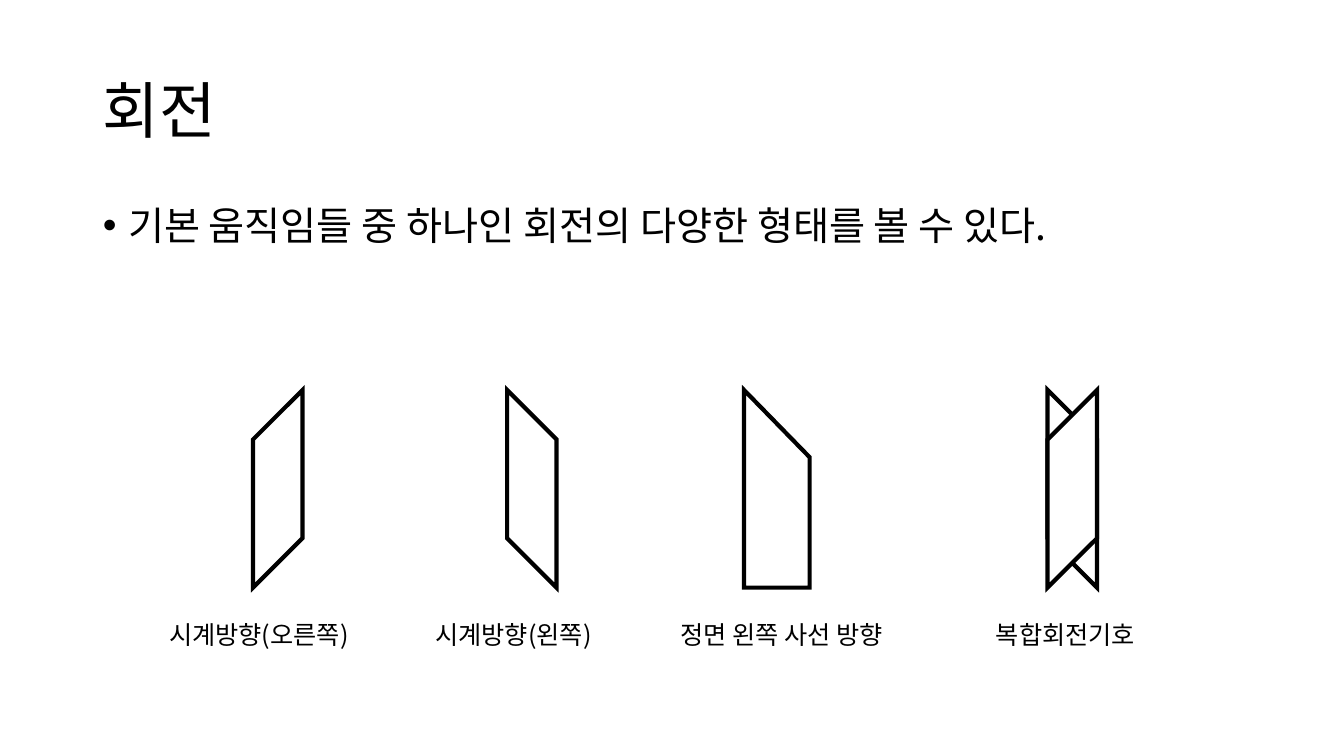
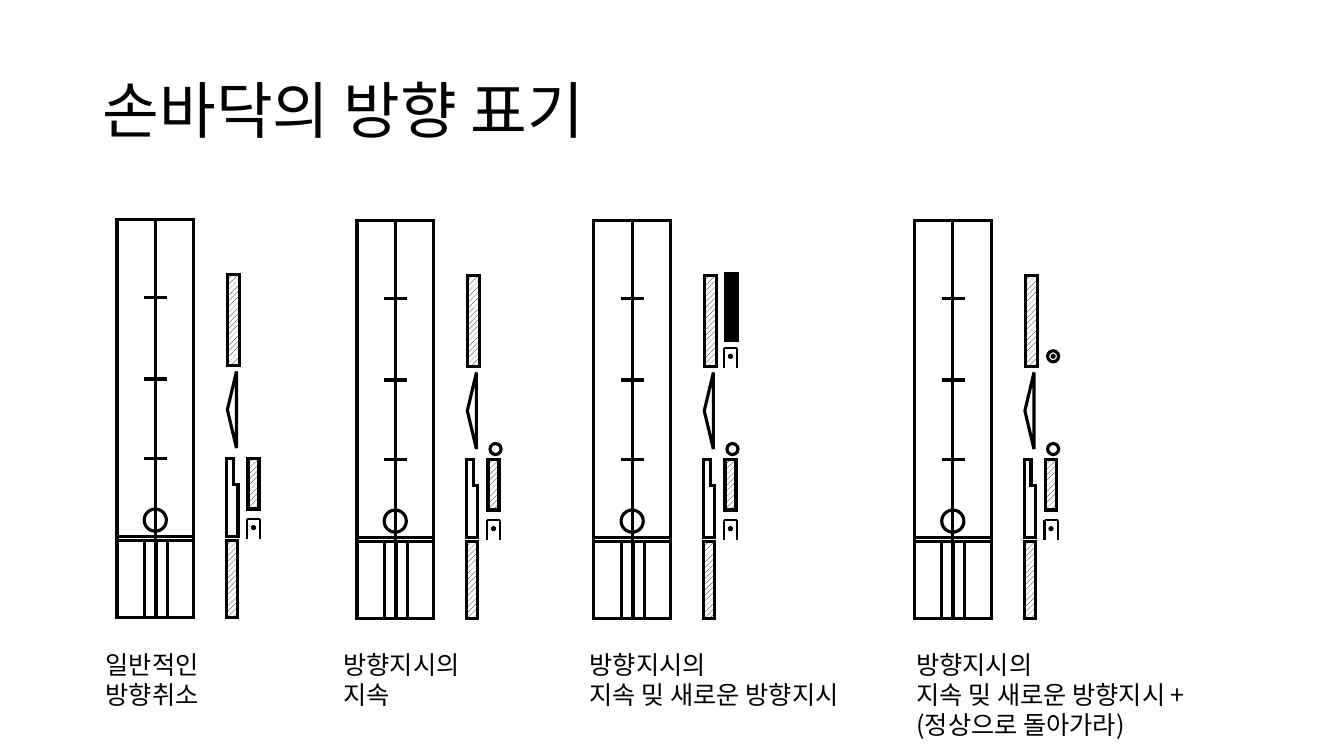
from pptx import Presentation
from pptx.dml.color import RGBColor
from pptx.enum.dml import MSO_PATTERN
from pptx.enum.shapes import MSO_CONNECTOR, MSO_SHAPE as SHAPE
from pptx.enum.text import MSO_ANCHOR, MSO_AUTO_SIZE, PP_ALIGN
from pptx.oxml.ns import qn
from pptx.util import Inches, Pt
from lxml.etree import SubElement

COLORS = {"ink": "000000", "paper": "FFFFFF"}
FONT = "Noto Sans CJK KR"
TITLE_BOX, BODY_BOX = (0.92, 0.4, 11.5, 1.45), (0.92, 2, 11.5, 4.76)
THIN, MEDIUM, THICK = 1.5, 2.25, 3

# Outlines as shares of the symbol's width and height
RISING = [(1, 0), (0, 0.25), (0, 1), (1, 0.75)]
FALLING = [(1 - x, y) for x, y in RISING]
FRONT_LEFT = [(0, 0), (1, 0.34), (1, 1), (0, 1)]
NOTCHED = [(0.6, 0), (0, 0), (0, 1), (1, 1), (1, 0.33), (0.6, 0.33)]

TURN_TOP, TURN_HEIGHT, TURN_CAPTION_TOP = 3.87, 1.96, 6.09
TURNS = [  # left, width, outlines, caption, caption left, caption width
    (2.51, 0.49, [RISING], "시계방향(오른쪽)", 1.58, 2.12),
    (5.03, 0.49, [FALLING], "시계방향(왼쪽)", 4.22, 1.87),
    (7.38, 0.65, [FRONT_LEFT], "정면 왼쪽 사선 방향", 6.65, 2.49),
    (10.39, 0.49, [FALLING, RISING], "복합회전기호", 9.78, 1.72),
]

PALM_CAPTION_TOP = 6.39
PALMS = [  # staff left, staff top, extra signs, caption lines, caption left, caption width
    (1.16, 2.18, [], ["일반적인", "방향취소"], 0.95, 1.21),
    (3.54, 2.19, ["hold"], ["방향지시의", "지속"], 3.31, 1.46),
    (5.89, 2.19, ["hold", "new"], ["방향지시의", "지속 밎 새로운 방향지시"], 5.75, 2.99),
    (9.07, 2.19, ["hold", "normal"],
     ["방향지시의", "지속 밎 새로운 방향지시 +", "(정상으로 돌아가라)"], 8.99, 3.35),
]

# Staff parts, measured from the staff's top left corner
LANE, STAFF_HEIGHT, FOOT_HEIGHT = 0.38, 3.14, 0.81
BAR_TOP, BAR_HEIGHT, BAR = 3.18, 0.77, 0.11
TICKS = (0.77, 1.58, 2.37)
HOOK_LEFT, HOOK_WIDTH, HOOK_HEIGHT = 1.29, 0.13, 0.2
RECTS = [
    ("paper", (0, STAFF_HEIGHT, LANE, FOOT_HEIGHT)),
    ("paper", (LANE, STAFF_HEIGHT, LANE, FOOT_HEIGHT)),
    ("paper", (0, 0, LANE, STAFF_HEIGHT)),
    ("paper", (LANE, 0, LANE, STAFF_HEIGHT)),
    ("paper", (0.27, BAR_TOP, BAR, BAR_HEIGHT)),
    ("paper", (0.39, BAR_TOP, BAR, BAR_HEIGHT)),
    ("hatch", (1.09, BAR_TOP, BAR, BAR_HEIGHT)),
    ("hatch", (1.1, 0.54, 0.12, 0.91)),
    ("hatch", (1.3, 2.37, BAR, 0.5)),
]


def rgb(name):
    return RGBColor.from_string(COLORS[name])


def set_line(line, width):
    line.color.rgb = rgb("ink")
    line.width = Pt(width)
    SubElement(line._get_or_add_ln(), qn("a:miter"), lim="800000")


def set_look(sp, fill, width):
    """Fill is a colour name, "hatch" or None; a width of 0 means no line."""
    sp.shadow.inherit = False
    if fill == "hatch":
        sp.fill.patterned()
        sp.fill.pattern = MSO_PATTERN.WIDE_UPWARD_DIAGONAL
        sp.fill.fore_color.rgb = rgb("ink")
        sp.fill.back_color.rgb = rgb("paper")
    elif fill:
        sp.fill.solid()
        sp.fill.fore_color.rgb = rgb(fill)
    else:
        sp.fill.background()
    if width:
        set_line(sp.line, width)
    else:
        sp.line.fill.background()


def write(tf, lines, size, **paragraph_format):
    for i, text in enumerate(lines):
        p = tf.paragraphs[0] if i == 0 else tf.add_paragraph()
        for name, value in paragraph_format.items():
            setattr(p, name, value)
        r = p.add_run()
        r.text = text
        r.font.size = Pt(size)
        r.font.color.rgb = rgb("ink")
        r.font.name = FONT
        SubElement(r._r.get_or_add_rPr(), qn("a:ea"), typeface=FONT)


def fill_placeholder(sp, box, text, size, anchor):
    sp.left, sp.top, sp.width, sp.height = map(Inches, box)
    sp.text_frame.auto_size = MSO_AUTO_SIZE.NONE
    sp.text_frame.vertical_anchor = anchor
    write(sp.text_frame, [text], size, alignment=PP_ALIGN.LEFT,
          line_spacing=0.9, space_before=Pt(0))


def add_slide(prs, layout, title):
    s = prs.slides.add_slide(prs.slide_layouts[layout])
    fill_placeholder(s.shapes.title, TITLE_BOX, title, 44, MSO_ANCHOR.MIDDLE)
    return s


def add_caption(s, lines, left, top, width):
    box = (left, top, width, 0.1 + 0.3 * len(lines))
    tf = s.shapes.add_textbox(*map(Inches, box)).text_frame
    tf.word_wrap = True
    write(tf, lines, 18)


def add_outline(shapes, points, box, width):
    left, top, w, h = box
    corners = [(Inches(left + x * w), Inches(top + y * h)) for x, y in points]
    builder = shapes.build_freeform(*corners[0], scale=1.0)
    builder.add_line_segments(corners[1:], close=True)
    set_look(builder.convert_to_shape(), "paper", width)


class Panel:
    """A group whose parts are placed from the corner (left, top)."""

    def __init__(self, s, left, top):
        self.shapes = s.shapes.add_group_shape().shapes
        self.left, self.top = left, top

    def place(self, box):
        x, y, w, h = box
        return self.left + x, self.top + y, w, h

    def shape(self, kind, box, fill=None, width=MEDIUM):
        sp = self.shapes.add_shape(kind, *map(Inches, self.place(box)))
        set_look(sp, fill, width)
        return sp

    def ring(self, x, y, size, fill=None, width=MEDIUM):
        self.shape(SHAPE.OVAL, (x, y, size, size), fill, width)

    def line(self, x1, y1, x2, y2, width=MEDIUM):
        ends = (self.left + x1, self.top + y1, self.left + x2, self.top + y2)
        c = self.shapes.add_connector(MSO_CONNECTOR.STRAIGHT, *map(Inches, ends))
        set_line(c.line, width)
        SubElement(c._element.spPr, qn("a:effectLst"))

    def hook(self, y):
        left, right, bottom = HOOK_LEFT, HOOK_LEFT + HOOK_WIDTH, y + HOOK_HEIGHT
        for ends in ((left, bottom, left, y), (right, bottom, right, y), (left, y, right, y)):
            self.line(*ends, width=THIN)
        self.ring(left + 0.05, y + 0.07, 0.03, "ink", THIN)


def draw_palm(s, left, top, extras):
    panel = Panel(s, left, top)
    panel.hook(2.97)
    for fill, box in RECTS:
        panel.shape(SHAPE.RECTANGLE, box, fill)
    panel.line(0, BAR_TOP, 2 * LANE, BAR_TOP)
    add_outline(panel.shapes, NOTCHED, panel.place((1.09, 2.37, BAR, BAR_HEIGHT)), MEDIUM)
    panel.ring(0.27, 2.87, 0.22)
    for y in TICKS:
        panel.line(0.27, y, 0.5, y)
    panel.shape(SHAPE.ISOSCELES_TRIANGLE, (0.76, 1.84, 0.76, 0.09), "paper").rotation = 270
    if "hold" in extras:
        panel.ring(1.32, 2.21, 0.11)
    if "new" in extras:
        panel.hook(1.26)
        panel.shape(SHAPE.RECTANGLE, (1.31, 0.52, BAR, 0.67), "ink")
    if "normal" in extras:
        panel.ring(1.32, 1.29, 0.11)
        panel.ring(1.35, 1.32, 0.05, "ink", 0)


def build_turns(prs):
    s = add_slide(prs, 1, "회전")
    body = s.placeholders[1]
    fill_placeholder(body, BODY_BOX, "기본 움직임들 중 하나인 회전의 다양한 형태를 볼 수 있다.",
                     28, MSO_ANCHOR.TOP)
    pPr = body.text_frame.paragraphs[0]._p.get_or_add_pPr()
    pPr.set("marL", str(Inches(0.25)))
    pPr.set("indent", str(-Inches(0.25)))
    for left, width, outlines, caption, caption_left, caption_width in TURNS:
        for points in outlines:
            add_outline(s.shapes, points, (left, TURN_TOP, width, TURN_HEIGHT), THICK)
        add_caption(s, [caption], caption_left, TURN_CAPTION_TOP, caption_width)


def build_palms(prs):
    s = add_slide(prs, 5, "손바닥의 방향 표기")
    for left, top, extras, lines, caption_left, caption_width in PALMS:
        draw_palm(s, left, top, extras)
        add_caption(s, lines, caption_left, PALM_CAPTION_TOP, caption_width)


def main():
    prs = Presentation()
    prs.slide_width, prs.slide_height = Inches(13.33), Inches(7.5)
    build_turns(prs)
    build_palms(prs)
    prs.save("out.pptx")


if __name__ == "__main__":
    main()
